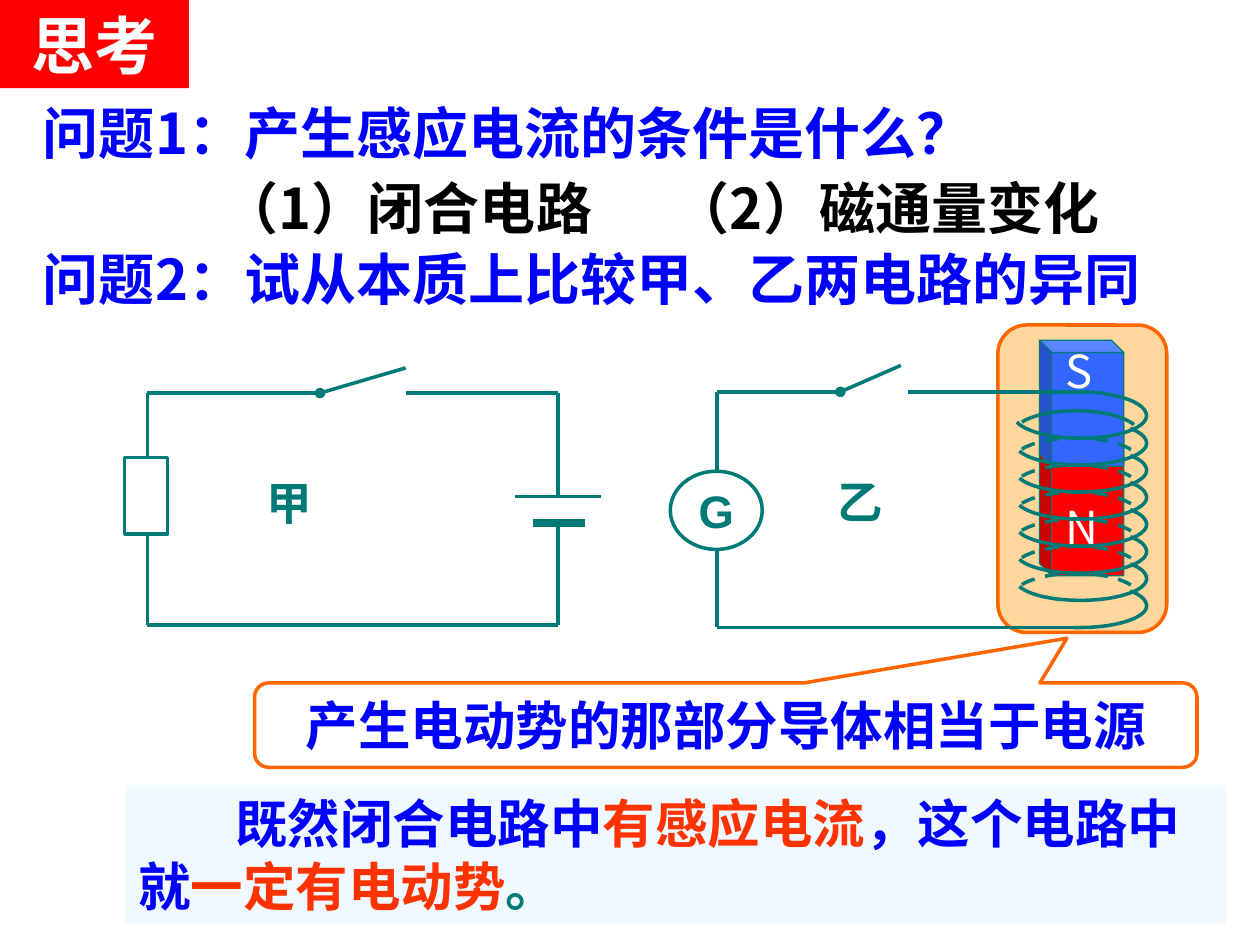
"""Build a slide comparing a battery circuit with an induction circuit."""
from dataclasses import dataclass

import pptx
import pptx.dml.color
import pptx.enum.dml
import pptx.enum.shapes
import pptx.enum.text
import pptx.oxml
import pptx.oxml.ns
import pptx.util

Inches = pptx.util.Inches
Pt = pptx.util.Pt
MSO_SHAPE = pptx.enum.shapes.MSO_SHAPE
ALIGN = pptx.enum.text.PP_ALIGN
ANCHOR = pptx.enum.text.MSO_ANCHOR

CJK = "Noto Sans CJK SC"
TEAL, BLUE, RED, ORANGE = "007A77", "0000FF", "FF0000", "FF6600"
WHITE, BLACK, HIGHLIGHT = "FFFFFF", "000000", "FF3300"

HEADING = {"size": Pt(36), "bold": True, "name": CJK}
QUESTION = {"size": Pt(32), "bold": True, "name": CJK}
STATEMENT = {"size": Pt(30), "bold": True, "name": CJK}
CIRCUIT_NAME = {"size": Pt(26), "bold": True, "name": "Arial"}
POLE = {"size": Pt(26), "bold": False, "name": CJK}

Point = tuple[float, float]
Run = tuple[str, str]


@dataclass
class Wire:
    start: Point
    end: Point
    width: float = 2
    pivot: bool = False


@dataclass
class Block:
    kind: MSO_SHAPE
    box: tuple[float, float, float, float]
    fill: str | None = None
    opacity: int = 100
    line: str | None = None
    width: float = 2
    adjustments: tuple[float, ...] = ()
    flipped: bool = False


@dataclass
class Label:
    text: str
    box: tuple[float, float, float, float]
    color: str
    style: dict
    wrap: bool = False


def rgb(value: str) -> pptx.dml.color.RGBColor:
    return pptx.dml.color.RGBColor.from_string(value)


def set_fields(target, values: dict) -> None:
    for name, value in values.items():
        setattr(target, name, value)


def add_element(parent, tag: str, **attributes: str) -> None:
    element = pptx.oxml.parse_xml(f"<a:{tag} {pptx.oxml.ns.nsdecls('a')}/>")
    for name, value in attributes.items():
        element.set(name, value)
    parent.append(element)


def place(shape, box: tuple[float, float, float, float]) -> None:
    names = ("left", "top", "width", "height")
    set_fields(shape, dict(zip(names, map(Inches, box))))


def set_line(line, color: str, width: float) -> None:
    line.color.rgb = rgb(color)
    line.width = Pt(width)


def write(paragraph, runs: list[Run], style: dict, align=ALIGN.LEFT) -> None:
    set_fields(paragraph, {"alignment": align, "space_before": Pt(0), "line_spacing": 1.0})
    for text, color in runs:
        run = paragraph.add_run()
        run.text = text
        set_fields(run.font, style)
        run.font.color.rgb = rgb(color)
        add_element(run.font._element, "ea", typeface=style["name"])


def set_frame(shape, wrap: bool = True, anchor=ANCHOR.TOP):
    frame = shape.text_frame
    set_fields(frame, {
        "word_wrap": wrap, "vertical_anchor": anchor,
        "auto_size": pptx.enum.text.MSO_AUTO_SIZE.NONE,
        "margin_left": Inches(0.1), "margin_right": Inches(0.1),
        "margin_top": Inches(0.05), "margin_bottom": Inches(0.05),
    })
    return frame


def add_block(shapes, block: Block):
    shape = shapes.add_shape(block.kind, *map(Inches, block.box))
    shape.shadow.inherit = False
    for index, value in enumerate(block.adjustments):
        shape.adjustments[index] = value
    if block.fill:
        shape.fill.solid()
        shape.fill.fore_color.rgb = rgb(block.fill)
        if block.opacity < 100:
            color = shape._element.spPr.find(".//" + pptx.oxml.ns.qn("a:srgbClr"))
            add_element(color, "alpha", val=str(block.opacity * 1000))
    else:
        shape.fill.background()
    if block.line:
        set_line(shape.line, block.line, block.width)
    else:
        shape.line.fill.background()
    if block.flipped:
        shape._element.spPr.xfrm.set("flipH", "1")
    return shape


def add_label(shapes, label: Label) -> None:
    shape = shapes.add_textbox(*map(Inches, label.box))
    frame = set_frame(shape, label.wrap)
    write(frame.paragraphs[0], [(label.text, label.color)], label.style)


def add_wire(shapes, wire: Wire) -> None:
    connector = shapes.add_connector(
        pptx.enum.shapes.MSO_CONNECTOR.STRAIGHT,
        *map(Inches, wire.start + wire.end))
    set_line(connector.line, TEAL, wire.width)
    if wire.pivot:
        add_element(connector.line._get_or_add_ln(), "headEnd", type="oval")
    add_element(connector._element.spPr, "effectLst")


def add_curve(shapes, points: list[Point], shift: float = 0, dashed: bool = False) -> None:
    """Draw a chain of cubic Bezier arcs as a smooth open outline."""
    steps = 12
    path = [points[0]]
    for first in range(0, len(points) - 1, 3):
        arc = points[first:first + 4]
        for step in range(1, steps + 1):
            t = step / steps
            weights = ((1 - t) ** 3, 3 * t * (1 - t) ** 2, 3 * t * t * (1 - t), t ** 3)
            path.append(tuple(sum(w * p[axis] for w, p in zip(weights, arc))
                              for axis in (0, 1)))
    outline = [(Inches(x), Inches(y + shift)) for x, y in path]
    builder = shapes.build_freeform(*outline[0])
    builder.add_line_segments(outline[1:], close=False)
    shape = builder.convert_to_shape()
    shape.shadow.inherit = False
    shape.fill.background()
    set_line(shape.line, TEAL, 2)
    if dashed:
        shape.line.dash_style = pptx.enum.dml.MSO_LINE.DASH


def add_headings(slide) -> None:
    title, body = slide.shapes.title, slide.placeholders[1]
    place(title, (0, 0, 1.5, 0.7))
    title.fill.solid()
    title.fill.fore_color.rgb = rgb(RED)
    frame = set_frame(title, anchor=ANCHOR.MIDDLE)
    write(frame.paragraphs[0], [("思考", WHITE)], HEADING, ALIGN.CENTER)

    place(body, (0.24, 0.73, 9.49, 1.91))
    frame = set_frame(body)
    questions = ("问题1：产生感应电流的条件是什么？", "问题2：试从本质上比较甲、乙两电路的异同")
    for paragraph, question in zip((frame.paragraphs[0], frame.add_paragraph()), questions):
        write(paragraph, [(question, BLUE)], QUESTION)
        properties = paragraph._p.get_or_add_pPr()
        set_fields(paragraph, {"space_before": Pt(45 if question == questions[1] else 0)})
        properties.set("marL", "0")
        properties.set("indent", "0")
        add_element(properties, "buNone")
    for text, left, width in (("（1）闭合电路", 1.67, 3.58), ("（2）磁通量变化", 5.25, 4.25)):
        add_label(slide.shapes, Label(text, (left, 1.33, width, 0.64), BLACK, QUESTION, True))


def add_battery_circuit(shapes) -> None:
    left, right, top, bottom = 1.17, 4.43, 3.12, 4.96
    for wire in (
        Wire((left, bottom), (left, top)),
        Wire((4.09, 3.94), (4.77, 3.94)),
        Wire((4.23, 4.15), (4.64, 4.15), 5),
        Wire((right, 4.14), (right, bottom)),
        Wire((left, top), (2.54, top)),
        Wire((right, top), (right, 3.94)),
        Wire((left, bottom), (right, bottom)),
        Wire((3.22, top), (right, top)),
        Wire((2.54, top), (3.22, 2.92), pivot=True),
    ):
        add_wire(shapes, wire)
    add_block(shapes, Block(MSO_SHAPE.RECTANGLE, (0.99, 3.63, 0.34, 0.61), WHITE, line=TEAL))
    add_label(shapes, Label("甲", (2.02, 3.72, 0.56, 0.54), TEAL, CIRCUIT_NAME))


def add_coil(shapes) -> None:
    pitch, turns = 0.215, 7
    edge = [(8.97, 3.40), (9.05, 3.43), (9.1, 3.47), (9.1, 3.52), (9.1, 3.61), (8.87, 3.69), (8.58, 3.69)]
    front = edge + [(8.36, 3.69), (8.17, 3.65), (8.09, 3.58)]
    last = edge + [(8.56, 3.69), (8.54, 3.69), (8.52, 3.69)]
    rear = [(8.11, 3.35), (8.21, 3.29), (8.37, 3.26), (8.54, 3.26), (8.73, 3.26), (8.91, 3.3), (9, 3.37)]
    add_curve(shapes, [(8.61, 3.11), (8.88, 3.12), (9.1, 3.2), (9.1, 3.3), (9.1, 3.4),
                       (8.86, 3.48), (8.57, 3.48), (8.34, 3.48), (8.13, 3.42), (8.07, 3.35)])
    for turn in range(turns):
        add_curve(shapes, last if turn == turns - 1 else front, turn * pitch)
        add_curve(shapes, rear, turn * pitch, dashed=turn > 0)


def add_induction_circuit(shapes) -> None:
    left, top, bottom = 5.69, 3.11, 4.98
    for pole, color, box, label_top in (("N", RED, (8.25, 3.28, 0.67, 1.29), 3.91),
                                        ("S", "3366FF", (8.25, 2.7, 0.67, 1), 2.67)):
        add_block(shapes, Block(MSO_SHAPE.CUBE, box, color, line=TEAL, width=0.75,
                                adjustments=(0.147,), flipped=True))
        add_label(shapes, Label(pole, (8.36, label_top, 0.42, 0.54), WHITE, POLE))
    for wire in (
        Wire((left, bottom), (left, top)),
        Wire((left, top), (6.67, top)),
        Wire((left, bottom), (8.59, bottom)),
        Wire((6.67, top), (7.15, 2.9), pivot=True),
        Wire((8.64, top), (7.21, top)),
    ):
        add_wire(shapes, wire)
    meter = add_block(shapes, Block(MSO_SHAPE.OVAL, (5.32, 3.74, 0.73, 0.62), WHITE, line=TEAL))
    frame = set_frame(meter, False, ANCHOR.MIDDLE)
    write(frame.paragraphs[0], [("G", TEAL)], CIRCUIT_NAME, ALIGN.CENTER)
    add_coil(shapes)
    add_label(shapes, Label("乙", (6.55, 3.71, 0.56, 0.54), TEAL, CIRCUIT_NAME))


def add_conclusions(shapes) -> None:
    panel = add_block(shapes, Block(MSO_SHAPE.RECTANGLE, (1, 6.23, 8.73, 1.1), "EBF7FF", 70))
    paragraph = set_frame(panel).paragraphs[0]
    write(paragraph, [("既然闭合电路中", BLUE), ("有感应电流", HIGHLIGHT), ("，这个电路中就", BLUE),
                      ("一定有电动势", HIGHLIGHT), ("。", TEAL)], STATEMENT)
    paragraph._p.get_or_add_pPr().set("indent", str(Inches(0.77)))
    callout = add_block(shapes, Block(MSO_SHAPE.ROUNDED_RECTANGULAR_CALLOUT, (2.02, 5.42, 7.48, 0.67),
                                      line=ORANGE, adjustments=(0.362, -1.029, 0.167)))
    write(set_frame(callout).paragraphs[0], [("产生电动势的那部分导体相当于电源", BLUE)],
          STATEMENT, ALIGN.CENTER)


def main() -> None:
    presentation = pptx.Presentation()
    set_fields(presentation, {"slide_width": Inches(10), "slide_height": Inches(7.5)})
    slide = presentation.slides.add_slide(presentation.slide_layouts[1])
    add_block(slide.shapes, Block(MSO_SHAPE.ROUNDED_RECTANGLE, (7.92, 2.58, 1.34, 2.44),
                                  "FF9900", 39, ORANGE, adjustments=(0.17,)))
    add_headings(slide)
    add_battery_circuit(slide.shapes.add_group_shape().shapes)
    add_induction_circuit(slide.shapes.add_group_shape().shapes)
    add_conclusions(slide.shapes)
    presentation.save("out.pptx")


if __name__ == "__main__":
    main()
